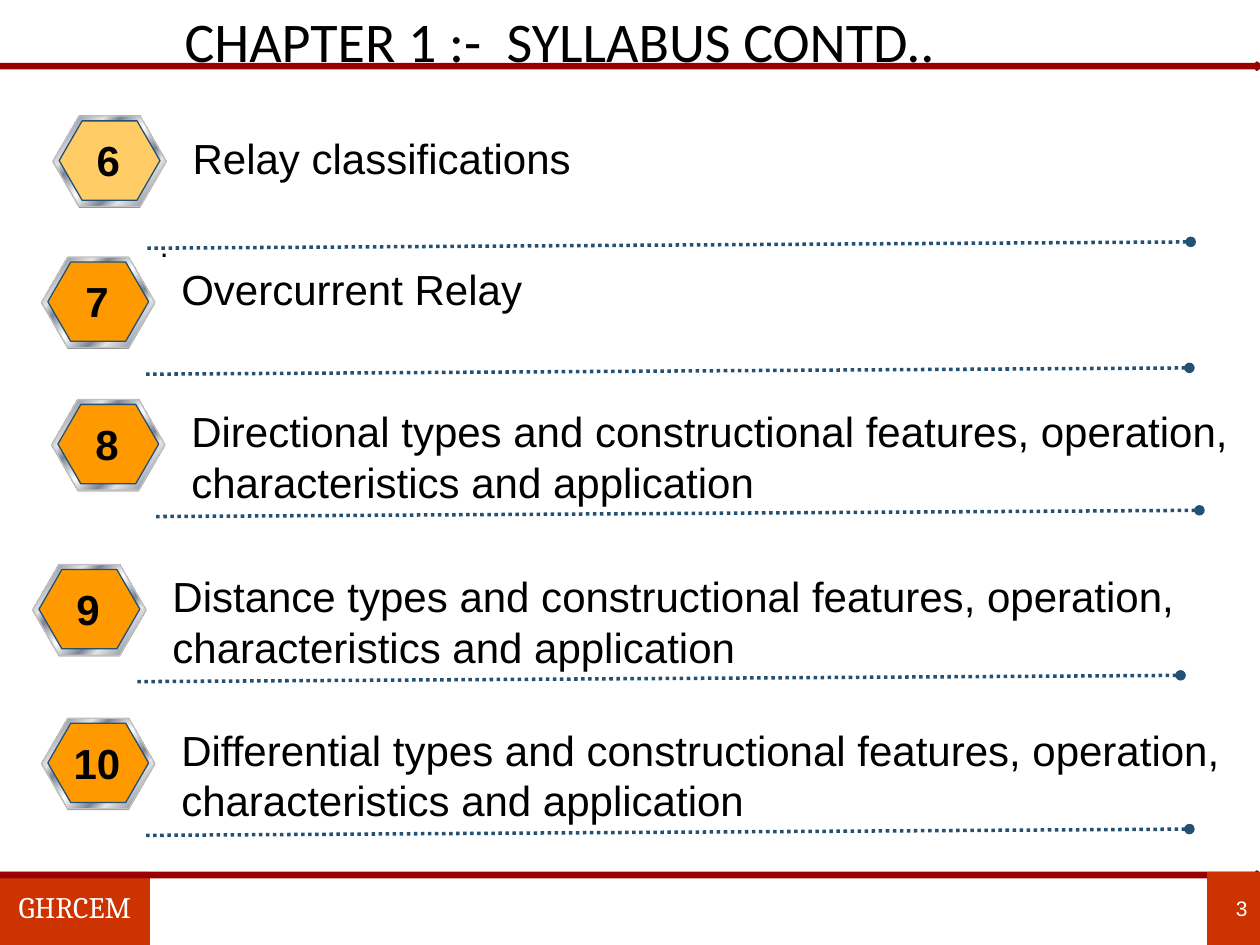
from lxml import etree
from pptx import Presentation
from pptx.dml.color import RGBColor
from pptx.enum.dml import MSO_LINE
from pptx.enum.shapes import MSO_CONNECTOR, MSO_SHAPE
from pptx.enum.text import MSO_ANCHOR, MSO_AUTO_SIZE, PP_ALIGN
from pptx.oxml.ns import qn
from pptx.util import Inches, Pt

HEXAGON, ARROW, RECT = MSO_SHAPE.HEXAGON, MSO_SHAPE.RIGHT_ARROW, MSO_SHAPE.RECTANGLE
LEFT, CENTER, RIGHT = PP_ALIGN.LEFT, PP_ALIGN.CENTER, PP_ALIGN.RIGHT
TOP, MIDDLE = MSO_ANCHOR.TOP, MSO_ANCHOR.MIDDLE
STRAIGHT, DOTTED = MSO_CONNECTOR.STRAIGHT, MSO_LINE.ROUND_DOT

# Content
TITLE = "CHAPTER 1 :-  SYLLABUS CONTD.."
SCHOOL, PAGE = "GHRCEM", "3"
FEATURES = "types and constructional features, operation, characteristics and application"
# number, topic, badge corner, text drop, rule start relative to the badge
TOPICS = [
    ("6", "Relay classifications", (0.42, 0.92), 0.08, (0.75, 1.05)),
    ("7", "Overcurrent Relay", (0.33, 2.04), 0, (0.83, 0.93)),
    ("8", f"Directional {FEATURES}", (0.41, 3.17), 0, (0.83, 0.93)),
    ("9", f"Distance {FEATURES}", (0.26, 4.48), 0, (0.83, 0.93)),
    ("10", f"Differential {FEATURES}", (0.33, 5.70), 0, (0.83, 0.93)),
]
STRAY_MARK = "."

THEME = {
    "ink": "000000", "paper": "FFFFFF", "block": "CC3300",
    "bar": "990000", "bar_fill": "DDDDDD", "rule": "225174",
    "shade": "808080", "rim": "C0C0C0", "first": "FFCC66", "badge": "FF9900",
    "metal": [(0, "E6E6E6"), (7, "7D8496"), (26, "E6E6E6"), (34, "7D8496"),
              (46, "E6E6E6"), (50, "FFFFFF"), (54, "E6E6E6"), (66, "7D8496"),
              (74, "E6E6E6"), (93, "7D8496"), (100, "E6E6E6")],
    "title": {"name": "Calibri", "size": Pt(32)},
    "topic": {"name": "Arial", "size": Pt(24)},
    "number": {"name": "Arial", "size": Pt(24), "bold": True},
    "mark": {"name": "Arial", "size": Pt(18)},
    "school": {"name": "Cambria", "size": Pt(17)},
    "page": {"name": "Arial", "size": Pt(12)},
}


def color(key):
    return RGBColor.from_string(THEME[key])


def write(shape, text, style, ink="ink", align=LEFT, anchor=TOP, wrap=True, spacing=None):
    frame = shape.text_frame
    frame_format = {"auto_size": MSO_AUTO_SIZE.NONE, "word_wrap": wrap,
                    "vertical_anchor": anchor}
    for name, value in frame_format.items():
        setattr(frame, name, value)
    paragraph = frame.paragraphs[0]
    paragraph.alignment, paragraph.line_spacing = align, spacing
    run = paragraph.add_run()
    run.text = text
    for name, value in THEME[style].items():
        setattr(run.font, name, value)
    run.font.color.rgb = color(ink)


def add_text(shapes, box, *args, **options):
    write(shapes.add_textbox(*map(Inches, box)), *args, **options)


def add_block(shapes, kind, box, fill, line=None, width=0.75):
    shape = shapes.add_shape(kind, *map(Inches, box))
    shape.shadow.inherit = False
    if fill == "metal":
        fill_metal(shape)
    else:
        shape.fill.solid()
        shape.fill.fore_color.rgb = color(fill)
    if line:
        shape.line.color.rgb, shape.line.width = color(line), Pt(width)
    else:
        shape.line.fill.background()
    if kind == HEXAGON:
        shape.adjustments[0] = 0.289
    return shape


def fill_metal(shape):
    shape.fill.gradient()
    shape.fill.gradient_angle = 315
    stops = shape._element.spPr.find(".//" + qn("a:gsLst"))
    for stop in list(stops):
        stops.remove(stop)
    for percent, tone in THEME["metal"]:
        stop = etree.SubElement(stops, qn("a:gs"), pos=str(percent * 1000))
        etree.SubElement(stop, qn("a:srgbClr"), val=tone)


def add_rule(shapes, x, y):
    rule = shapes.add_connector(STRAIGHT, *map(Inches, (x, y, x + 8.28, y - 0.05)))
    rule.line.color.rgb = color("rule")
    rule.line.width, rule.line.dash_style = Pt(2), DOTTED
    properties = rule._element.spPr
    etree.SubElement(properties.find(qn("a:ln")), qn("a:tailEnd"), type="oval")
    etree.SubElement(properties, qn("a:effectLst"))


def add_topic(slide, number, topic, corner, text_drop, rule_start, fill):
    x, y = corner
    shapes = slide.shapes.add_group_shape().shapes
    # Metal badge: shade, rim, face
    add_block(shapes, HEXAGON, (x, y + 0.01, 0.9, 0.72), "shade")
    add_block(shapes, HEXAGON, (x, y, 0.9, 0.72), "metal", "rim")
    add_block(shapes, HEXAGON, (x + 0.05, y + 0.04, 0.8, 0.63), fill, "rule")
    # Rule, topic and number
    add_rule(shapes, x + rule_start[0], y + rule_start[1])
    add_text(shapes, (x + 1.01, y + text_drop, 8.58, 0.91), topic, "topic")
    add_text(shapes, (x + 0.14, y + 0.1, 0.6, 0.51), number, "number",
             align=CENTER, wrap=False)


def main():
    deck = Presentation()
    deck.slide_width, deck.slide_height = Inches(10), Inches(7.5)
    slide = deck.slides.add_slide(deck.slide_layouts[5])
    shapes = slide.shapes

    # Title
    title = shapes.title
    title.left, title.top, title.width, title.height = map(Inches, (0.89, 0, 7.11, 0.64))
    write(title, TITLE, "title", align=CENTER)

    # Footer blocks and the two bars
    school = add_block(shapes, RECT, (0, 6.92, 1.19, 0.58), "block")
    write(school, SCHOOL, "school", "paper", CENTER, MIDDLE, wrap=False, spacing=0.9)
    for top in (6.92, 0.5):
        add_block(shapes, ARROW, (0, top, 10, 0.05), "bar_fill", "bar", 2)
    page = add_block(shapes, RECT, (9.58, 6.92, 0.42, 0.58), "block")
    write(page, PAGE, "page", "paper", RIGHT, MIDDLE)

    # Topics
    for index, topic in enumerate(TOPICS):
        add_topic(slide, *topic, fill="badge" if index else "first")
    add_text(shapes, (1.17, 1.74, 0.4, 0.4), STRAY_MARK, "mark", anchor=MIDDLE)

    deck.save("out.pptx")


if __name__ == "__main__":
    main()
